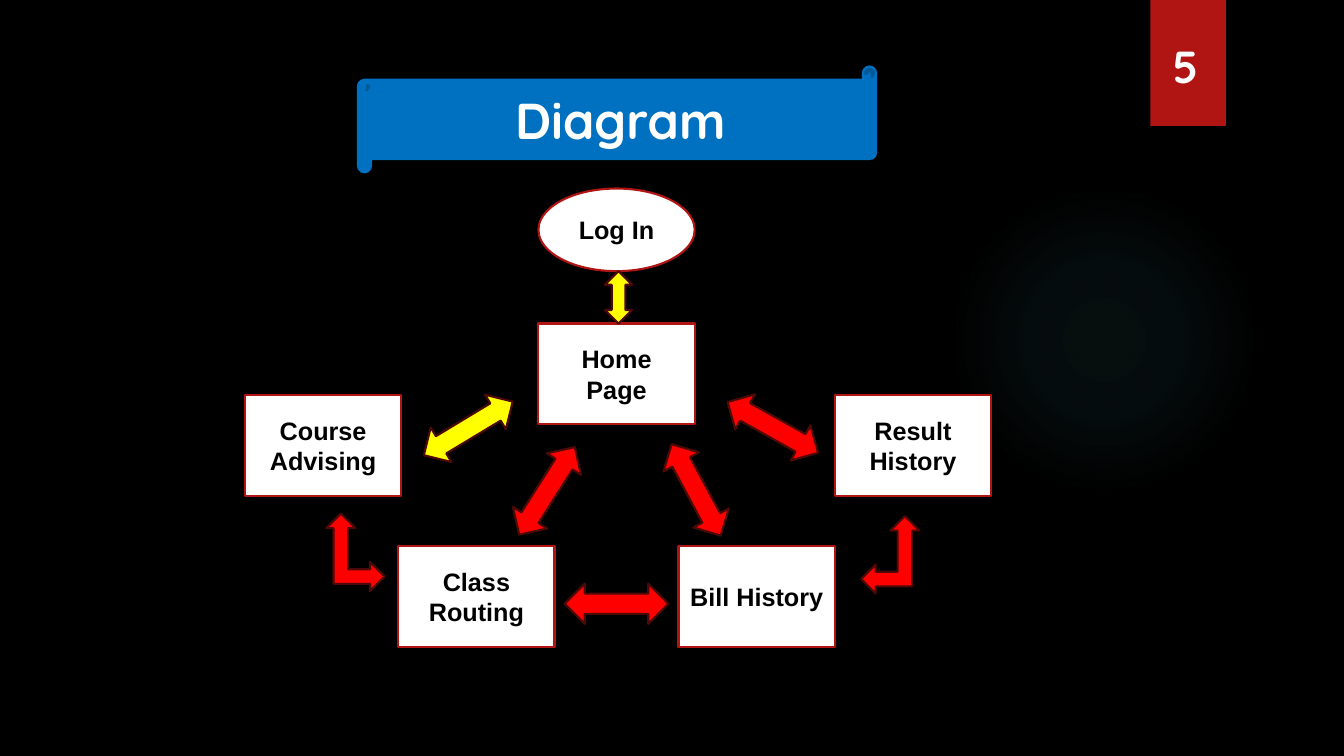
"""Build the slide with the diagram of the student portal's pages."""
from dataclasses import dataclass
from typing import Optional

from pptx import Presentation
from pptx import oxml
from pptx import util as u
from pptx.dml.color import RGBColor
from pptx.enum import shapes, text
from pptx.oxml import ns

BLACK = RGBColor(0x00, 0x00, 0x00)
WHITE = RGBColor(0xFF, 0xFF, 0xFF)
CRIMSON = RGBColor(0xB0, 0x15, 0x13)
MAROON = RGBColor(0x4D, 0x09, 0x08)
BLUE = RGBColor(0x00, 0x70, 0xC0)
RED = RGBColor(0xFF, 0x00, 0x00)
YELLOW = RGBColor(0xFF, 0xFF, 0x00)
TEAL = RGBColor(0x50, 0xB9, 0xC1)

KIND = shapes.MSO_SHAPE
NODE_WIDTH, NODE_HEIGHT = 1.55, 1.0
ARROW_LENGTH, ARROW_WIDTH = 1.03, 0.4
GLOW_STOPS = ((0, 7), (36, 6), (69, 0))


@dataclass(frozen=True)
class Figure:
    """A preset shape with its place, colours and turn."""
    kind: KIND
    left: float
    top: float
    width: float
    height: float
    fill: RGBColor
    line: Optional[RGBColor] = None
    rotation: float = 0


@dataclass(frozen=True)
class Label:
    """Bold centred wording for a shape."""
    wording: str
    size: int = 18
    font: str = "Arial"
    color: RGBColor = BLACK


def node(wording: str, left: float, top: float, kind: KIND = KIND.RECTANGLE,
         height: float = NODE_HEIGHT) -> tuple[Figure, Label]:
    """Describe one page of the portal."""
    return Figure(kind, left, top, NODE_WIDTH, height, WHITE, CRIMSON), Label(wording)


def double_arrow(left: float, top: float, rotation: float, fill: RGBColor = RED) -> Figure:
    """Describe a two-headed arrow between two pages."""
    return Figure(KIND.LEFT_RIGHT_ARROW, left, top, ARROW_LENGTH, ARROW_WIDTH,
                  fill, MAROON, rotation)


GLOW = Figure(KIND.OVAL, 9.41, 1.83, 3.08, 3.08, TEAL)
RIBBON = Figure(KIND.RECTANGLE, 11.41, 0, 0.75, 1.25, CRIMSON)
LABELLED = (
    (Figure(KIND.FLOWCHART_PROCESS, 11.49, 0.13, 0.54, 1.05, CRIMSON),
     Label("5", 32, "Quicksand", WHITE)),
    (Figure(KIND.HORIZONTAL_SCROLL, 3.55, 0.66, 5.14, 1.05, BLUE, BLUE),
     Label("Diagram", 36, "Quicksand", WHITE)),
    node("Log In", 5.34, 1.87, KIND.OVAL, 0.82),
    node("Course Advising", 2.43, 3.92),
    node("Class Routing", 3.95, 5.42),
    node("Home Page", 5.34, 3.21),
    node("Result History", 8.28, 3.92),
    node("Bill History", 6.73, 5.42),
)
ARROWS = (
    double_arrow(4.91, 4.67, 302.4),
    double_arrow(6.39, 4.66, 241.8),
    double_arrow(7.15, 4.04, 209.3),
    double_arrow(4.13, 4.05, 328.9, YELLOW),
    double_arrow(5.6, 5.79, 0),
    Figure(KIND.LEFT_UP_ARROW, 3.14, 5.19, 0.77, 0.58, RED, MAROON, 90),
    Figure(KIND.LEFT_UP_ARROW, 8.54, 5.12, 0.58, 0.77, RED, MAROON),
    Figure(KIND.UP_DOWN_ARROW, 6, 2.69, 0.27, 0.52, YELLOW, MAROON),
)


def draw(page, figure: Figure):
    """Add a figure to the page and return its shape."""
    box = page.shapes.add_shape(figure.kind, *map(u.Inches, (
        figure.left, figure.top, figure.width, figure.height)))
    box.shadow.inherit = False
    box.rotation = figure.rotation
    box.fill.solid()
    box.fill.fore_color.rgb = figure.fill
    if figure.line is None:
        box.line.fill.background()
    else:
        box.line.color.rgb = figure.line
        box.line.width = u.Pt(1.5)
    return box


def write(box, label: Label) -> None:
    """Put a label in the middle of a shape."""
    frame = box.text_frame
    frame.word_wrap = True
    frame.vertical_anchor = text.MSO_ANCHOR.MIDDLE
    para = frame.paragraphs[0]
    para.text = label.wording
    para.alignment = text.PP_ALIGN.CENTER
    para.font.name = label.font
    para.font.size = u.Pt(label.size)
    para.font.bold = True
    para.font.color.rgb = label.color


def fade(box, color: RGBColor) -> None:
    """Turn a solid fill into a glow that fades from the centre."""
    stops = "".join(
        f'<a:gs pos="{place * 1000}"><a:srgbClr val="{color}">'
        f'<a:alpha val="{opacity * 1000}"/></a:srgbClr></a:gs>'
        for place, opacity in GLOW_STOPS)
    gradient = oxml.parse_xml(
        f'<a:gradFill {ns.nsdecls("a")}><a:gsLst>{stops}</a:gsLst><a:path path="circle">'
        '<a:fillToRect l="50000" t="50000" r="50000" b="50000"/></a:path></a:gradFill>')
    properties = box.element.spPr
    properties.replace(properties.find(ns.qn("a:solidFill")), gradient)


def main() -> None:
    """Draw the slide and save the deck."""
    deck = Presentation()
    deck.slide_width, deck.slide_height = u.Inches(13.33), u.Inches(7.5)
    page = deck.slides.add_slide(deck.slide_layouts[6])
    page.background.fill.solid()
    page.background.fill.fore_color.rgb = BLACK
    fade(draw(page, GLOW), GLOW.fill)
    draw(page, RIBBON)
    for figure, label in LABELLED:
        write(draw(page, figure), label)
    for arrow in ARROWS:
        draw(page, arrow)
    deck.save("out.pptx")


if __name__ == "__main__":
    main()
